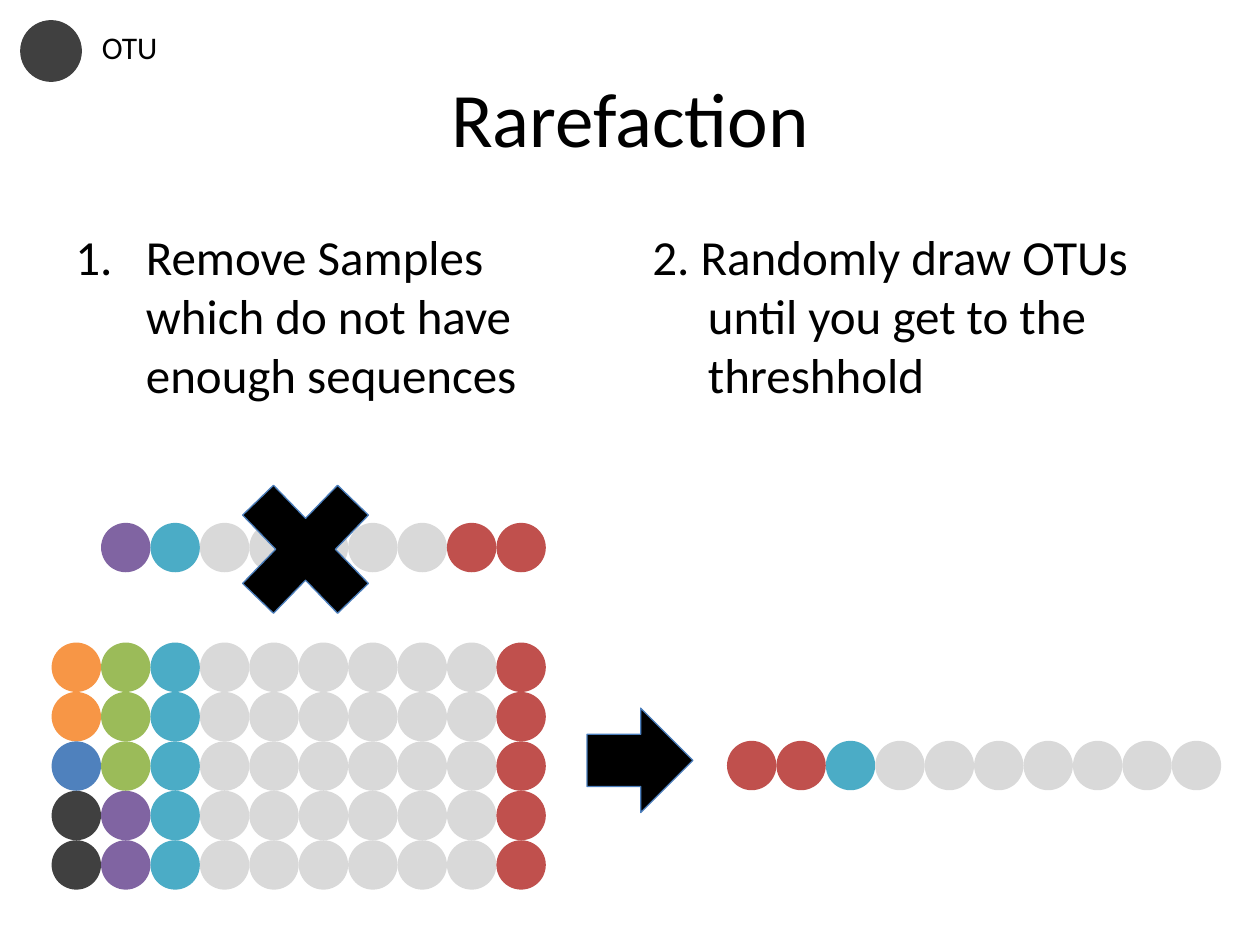
from lxml import etree
from pptx import Presentation
from pptx.dml.color import RGBColor
from pptx.enum.shapes import MSO_SHAPE
from pptx.enum.text import MSO_ANCHOR, PP_ALIGN
from pptx.oxml.ns import qn
from pptx.util import Inches, Pt

OVAL = MSO_SHAPE.OVAL
CROSS = MSO_SHAPE.MATH_MULTIPLY
ARROW = MSO_SHAPE.RIGHT_ARROW
TOP, MIDDLE = MSO_ANCHOR.TOP, MSO_ANCHOR.MIDDLE
LEFT, CENTER = PP_ALIGN.LEFT, PP_ALIGN.CENTER

WIDTH, HEIGHT = Inches(10), Inches(7.5)
COL, ROW = WIDTH / 100, HEIGHT / 75
STEP = 35.3 / 9

THEME = {
    "font": "Calibri",
    "title": Pt(44),
    "body": Pt(28),
    "label": Pt(18),
    "edge": Pt(0.75),
    "ink": "000000",
    "rim": "4B7EBC",
    "dots": {
        "O": "F79646", "B": "4F81BD", "K": "404040", "G": "9BBB59",
        "P": "8064A2", "T": "4BACC6", "S": "D9D9D9", "R": "C0504D",
    },
}


def tint(code):
    return RGBColor.from_string(code)


def style(item, form):
    for name, value in form.items():
        setattr(item, name, value)


def place(left, top, width, height):
    return [round(n) for n in (left * COL, top * ROW, width * COL, height * ROW)]


def text(slide, box, words, size, align=LEFT, anchor=TOP, hang=0, auto=False):
    frame = slide.shapes.add_textbox(*place(*box)).text_frame
    style(frame, {"word_wrap": True, "vertical_anchor": anchor})
    para = frame.paragraphs[0]
    props = para._p.get_or_add_pPr()
    if hang:
        indent = round(hang * COL)
        props.set("marL", str(indent))
        props.set("indent", str(-indent))
    if auto:
        etree.SubElement(props, qn("a:buFont"), typeface="+mj-lt")
        etree.SubElement(props, qn("a:buAutoNum"), type="arabicPeriod")
    para.alignment = align
    run = para.add_run()
    run.text = words
    style(run.font, {"name": THEME["font"], "size": THEME[size]})
    run.font.color.rgb = tint(THEME["ink"])


def shape(parent, kind, box, fill, rim=None):
    item = parent.shapes.add_shape(kind, *place(*box))
    item.shadow.inherit = False
    item.fill.solid()
    item.fill.fore_color.rgb = tint(fill)
    if rim:
        item.line.color.rgb = tint(rim)
        item.line.width = THEME["edge"]
    else:
        item.line.fill.background()


def strip(slide, left, top, codes, down=False):
    group = slide.shapes.add_group_shape()
    for i, code in enumerate(codes):
        x, y = (0, i * STEP) if down else (i * STEP, 0)
        box = (left + x, top + y, STEP, STEP)
        shape(group, OVAL, box, THEME["dots"][code])


def main():
    deck = Presentation()
    style(deck, {"slide_width": WIDTH, "slide_height": HEIGHT})
    slide = deck.slides.add_slide(deck.slide_layouts[6])

    text(slide, (5, 3, 90, 12.5), "Rarefaction", "title", CENTER, MIDDLE)
    text(slide, (5, 17.5, 44.2, 49.5),
         "Remove Samples which do not have enough sequences",
         "body", hang=5.6, auto=True)
    text(slide, (50.8, 17.5, 44.2, 49.5),
         "2. Randomly draw OTUs until you get to the threshhold",
         "body", hang=4.4)
    shape(slide, OVAL, (1.6, 1.6, 4.9, 4.9), THEME["dots"]["K"])
    text(slide, (7.1, 1.7, 21.2, 4), "OTU", "label")

    left = 4.1
    table = ["OOBKK", "GGGPP", "TTTTT"] + ["SSSSS"] * 6 + ["RRRRR"]
    for i, codes in enumerate(table):
        strip(slide, left + i * STEP, 51, codes, down=True)
    strip(slide, left + STEP, 41.5, "PTSSSSSRR")
    shape(slide, CROSS, (17, 36.1, 14.5, 15), THEME["ink"], THEME["rim"])
    shape(slide, ARROW, (46.6, 56.2, 8.4, 8.3), THEME["ink"], THEME["rim"])
    strip(slide, 57.7, 58.8, "RRTSSSSSSS")

    deck.save("out.pptx")


if __name__ == "__main__":
    main()
